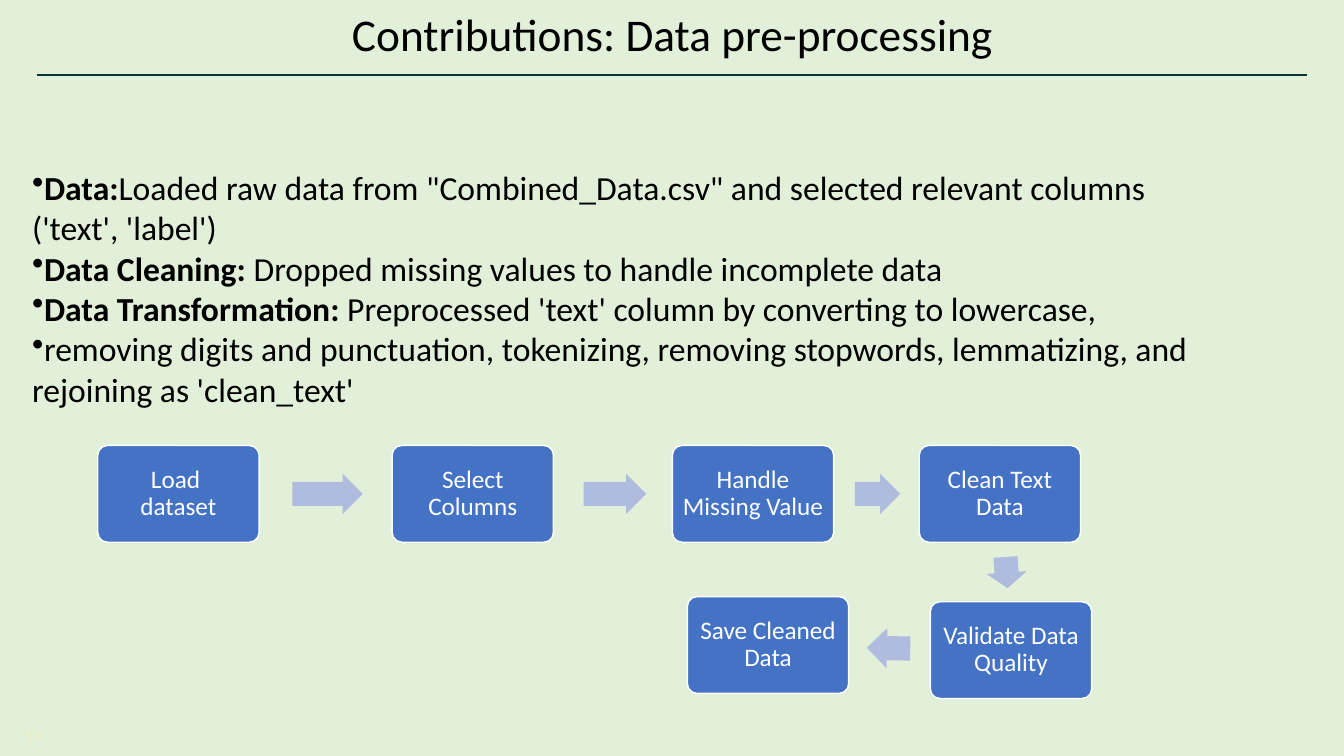
import pptx
import pptx.dml.color
import pptx.enum.shapes
import pptx.enum.text
import pptx.oxml.ns
import pptx.util

WIDTH, HEIGHT = pptx.util.Inches(13.333), pptx.util.Inches(7.5)
FONT = "Calibri"
COLORS = {
    "background": "E2F0D9", "rule": "063532", "text": "000000", "step": "4472C4",
    "white": "FFFFFF", "arrow": "B0BCDE", "number": "F3F0C4",
}
SHAPES = pptx.enum.shapes.MSO_SHAPE
ALIGN = pptx.enum.text.PP_ALIGN
MIDDLE = pptx.enum.text.MSO_ANCHOR.MIDDLE

# All positions and sizes are percentages of the slide's width and height.
STEP_SIZE = (12, 12.8)
TOP_ROW = 58.93
STEPS = [
    ("Load \vdataset", 7.28, TOP_ROW),
    ("Select Columns", 29.18, TOP_ROW),
    ("Handle Missing Value", 50.03, TOP_ROW),
    ("Clean Text Data", 68.4, TOP_ROW),
    ("Validate Data Quality", 69.23, 79.6),
    ("Save Cleaned Data", 51.15, 78.93),
]
ARROW_HEIGHT = 5.33
ARROW_ROW = TOP_ROW + (STEP_SIZE[1] - ARROW_HEIGHT) / 2
ARROWS = [  # left, top, width, rotation
    (21.75, ARROW_ROW, 5.25, 0),
    (43.43, ARROW_ROW, 4.65, 0),
    (63.6, ARROW_ROW, 3.38, 0),
    (73.73, 73.07, 2.33, 85.9),
    (64.5, 83.07, 3.23, 181.1),
]
POINTS = [
    ("Data:", "Loaded raw data from \"Combined_Data.csv\" and selected relevant columns ('text', 'label')"),
    ("Data Cleaning:", " Dropped missing values to handle incomplete data"),
    ("Data Transformation:", " Preprocessed 'text' column by converting to lowercase,"),
    ("", "removing digits and punctuation, tokenizing, removing stopwords, lemmatizing, and rejoining as 'clean_text'"),
]


def color(name):
    return pptx.dml.color.RGBColor.from_string(COLORS[name])


def place(left, top, width, height):
    """Turn percentages of the slide into lengths."""
    return (int(WIDTH * left / 100), int(HEIGHT * top / 100),
            int(WIDTH * width / 100), int(HEIGHT * height / 100))


def format_span(span, size, color_name, bold=False):
    span.font.name = FONT
    span.font.size = pptx.util.Pt(size)
    span.font.bold = bold
    span.font.color.rgb = color(color_name)


def set_frame(frame, side, vertical):
    """Wrap and centre vertically, with insets in inches."""
    frame.word_wrap = True
    frame.auto_size = pptx.enum.text.MSO_AUTO_SIZE.NONE
    frame.vertical_anchor = MIDDLE
    frame.margin_left = frame.margin_right = pptx.util.Inches(side)
    frame.margin_top = frame.margin_bottom = pptx.util.Inches(vertical)


def write_line(frame, text, size, color_name, align):
    frame.text = text
    para = frame.paragraphs[0]
    para.alignment = align
    for span in para.runs:
        format_span(span, size, color_name)
    return para


def add_title(page, text):
    title = page.shapes.title
    title.left, title.top, title.width, title.height = place(2.78, 0.53, 94.5, 7.87)
    set_frame(title.text_frame, 0.1, 0)
    write_line(title.text_frame, text, 32.4, "text", ALIGN.CENTER)


def add_rule(page):
    left, top, width, _ = place(2.78, 9.87, 94.5, 0)
    rule = page.shapes.add_connector(
        pptx.enum.shapes.MSO_CONNECTOR.STRAIGHT, left, top, left + width, top)
    rule.line.color.rgb = color("rule")
    rule.line.width = pptx.util.Pt(1.5)
    pptx.oxml.ns.qn("a:effectLst")
    rule._element.spPr.append(pptx.oxml.xmlchemy.OxmlElement("a:effectLst"))


def add_bullet(para):
    properties = para._p.get_or_add_pPr()
    properties.set("marL", "0")
    properties.set("indent", "0")
    bullet = pptx.oxml.xmlchemy.OxmlElement("a:buChar")
    bullet.set("char", "•")
    properties.append(bullet)


def add_points(page):
    frame = page.shapes.add_textbox(*place(1.65, 17.2, 88.5, 41.73)).text_frame
    set_frame(frame, 0.1, 0.05)
    for index, (heading, detail) in enumerate(POINTS):
        para = frame.add_paragraph() if index else frame.paragraphs[0]
        add_bullet(para)
        for text, bold in ((heading, True), (detail, False)):
            if text:
                span = para.add_run()
                span.text = text
                format_span(span, 24, "text", bold)


def add_filled(page, kind, bounds, fill):
    shape = page.shapes.add_shape(kind, *place(*bounds))
    shape.shadow.inherit = False
    shape.fill.solid()
    shape.fill.fore_color.rgb = color(fill)
    return shape


def add_step(page, text, left, top):
    box = add_filled(page, SHAPES.ROUNDED_RECTANGLE, (left, top, *STEP_SIZE), "step")
    box.adjustments[0] = 0.1
    box.line.color.rgb = color("white")
    box.line.width = pptx.util.Pt(1)
    set_frame(box.text_frame, 0.06, 0.06)
    para = write_line(box.text_frame, text, 18, "white", ALIGN.CENTER)
    para.line_spacing = 0.9


def add_arrow(page, left, top, width, rotation):
    arrow = add_filled(page, SHAPES.RIGHT_ARROW, (left, top, width, ARROW_HEIGHT), "arrow")
    arrow.adjustments[0] = 0.6
    arrow.adjustments[1] = 0.5
    arrow.line.fill.background()
    arrow.rotation = rotation


def add_page_number(page, number):
    frame = page.shapes.add_textbox(*place(1.8, 95.8, 4, 2.8)).text_frame
    set_frame(frame, 0, 0)
    write_line(frame, number, 12, "number", ALIGN.LEFT)


def main():
    deck = pptx.Presentation()
    deck.slide_width, deck.slide_height = WIDTH, HEIGHT
    page = deck.slides.add_slide(deck.slide_layouts.get_by_name("Title Only"))
    page.background.fill.solid()
    page.background.fill.fore_color.rgb = color("background")
    add_rule(page)
    add_title(page, "Contributions: Data pre-processing")
    add_points(page)
    for step in STEPS:
        add_step(page, *step)
    for arrow in ARROWS:
        add_arrow(page, *arrow)
    add_page_number(page, "13")
    deck.save("out.pptx")


if __name__ == "__main__":
    main()
